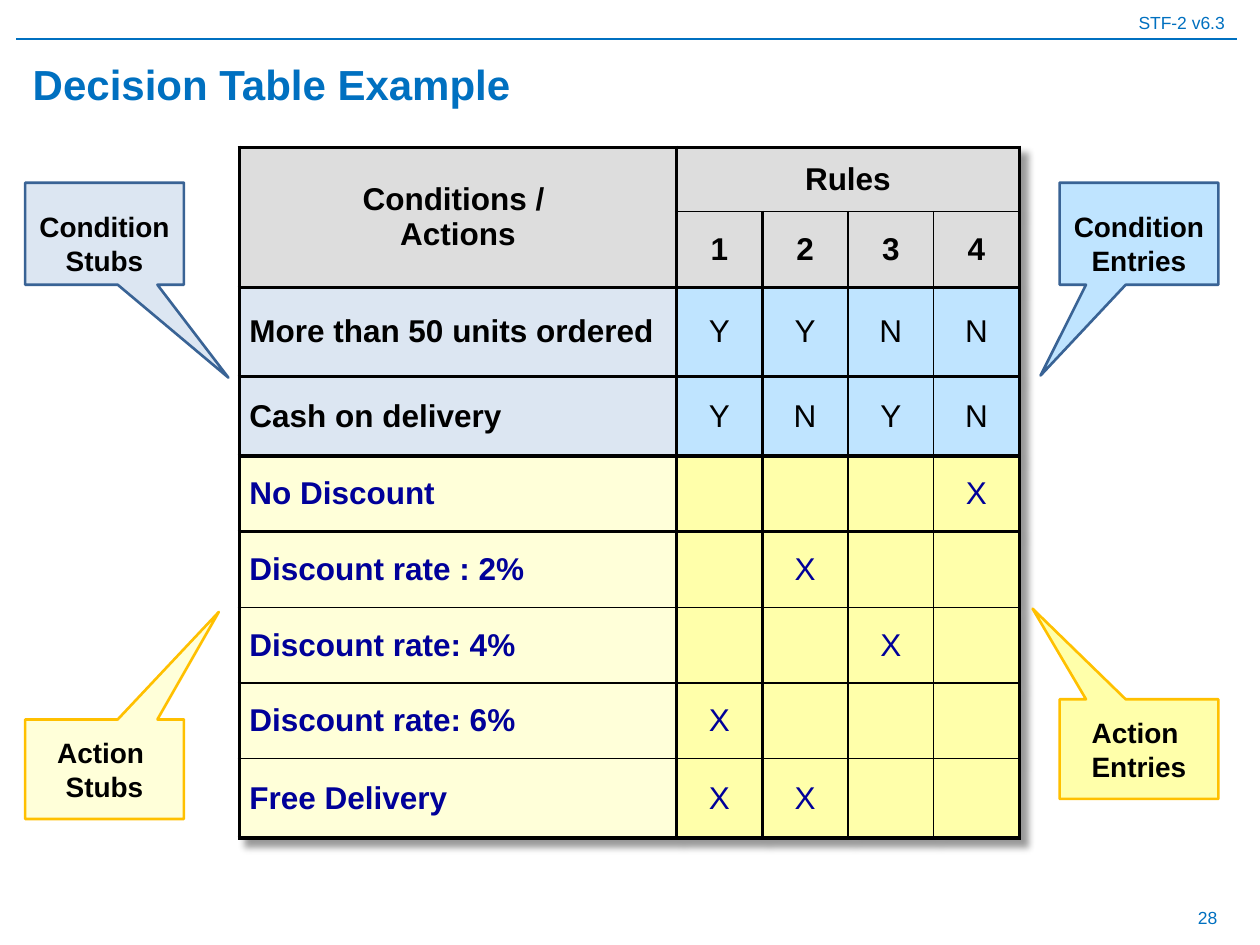
from dataclasses import dataclass

from lxml.etree import SubElement
from pptx import Presentation
from pptx.dml.color import RGBColor as Rgb
from pptx.enum.shapes import MSO_CONNECTOR as Connector, MSO_SHAPE as Shape
from pptx.enum.text import MSO_ANCHOR as Anchor, PP_ALIGN as Align
from pptx.oxml import parse_xml
from pptx.oxml.ns import nsdecls, qn
from pptx.util import Inches, Pt


@dataclass(frozen=True)
class Theme:
    """Colours, font and type sizes of the deck."""
    font: str = "Arial"
    accent: str = "0070C0"
    ink: str = "000000"
    action_ink: str = "000099"
    header: str = "DDDDDD"
    condition_stub: str = "DCE6F2"
    condition_entry: str = "BFE4FF"
    action_stub: str = "FFFFD9"
    action_entry: str = "FFFFAA"
    condition_edge: str = "396395"
    action_edge: str = "FFC000"
    title_size: int = 24
    table_size: int = 18
    callout_size: int = 16
    small_size: int = 10
    thick: float = 2.25
    thin: float = 1


THEME = Theme()
COLUMN_WIDTHS = [3.47] + [0.68] * 4
ROW_HEIGHTS = [0.51, 0.59, 0.71, 0.63] + [0.6] * 4 + [0.63]
THICK_COLUMNS = {0, 1, 2, 5}
THICK_ROWS = {0, 2, 3, 4, 5, 9}
CONDITIONS = [("More than 50 units ordered", "YYNN"), ("Cash on delivery", "YNYN")]
ACTIONS = [
    ("No Discount", "   X"),
    ("Discount rate : 2%", " X  "),
    ("Discount rate: 4%", "  X "),
    ("Discount rate: 6%", "X   "),
    ("Free Delivery", "XX  "),
]
CALLOUTS = [
    ("Condition Entries", (8.41, 1.45, 1.26, 0.81), (-0.62, 1.39),
     THEME.condition_entry, THEME.condition_edge, 0.2),
    ("Action \nStubs", (0.2, 5.71, 1.26, 0.79), (0.72, -1.58),
     THEME.action_stub, THEME.action_edge, 0.05),
    ("Action \nEntries", (8.41, 5.55, 1.26, 0.79), (-0.67, -1.41),
     THEME.action_entry, THEME.action_edge, 0.05),
    ("Condition Stubs", (0.2, 1.45, 1.26, 0.81), (0.78, 1.41),
     THEME.condition_stub, THEME.condition_edge, 0.05 + 0.15),
]


def inches(box):
    """Turn a box of numbers into lengths."""
    return [Inches(length) for length in box]


def write(frame, text, size, color, bold=False, align=Align.LEFT):
    """Fill a text frame with evenly formatted paragraphs."""
    frame.text = text
    frame.word_wrap = True
    for para in frame.paragraphs:
        para.alignment = align
        para.font.name = THEME.font
        para.font.size = Pt(size)
        para.font.bold = bold
        para.font.color.rgb = Rgb.from_string(color)


def add_small_text(page, text, box, right_inset):
    """Add a small right-aligned line in the accent colour."""
    frame = page.shapes.add_textbox(*inches(box)).text_frame
    frame.vertical_anchor = Anchor.MIDDLE
    frame.margin_right = Inches(right_inset)
    write(frame, text, THEME.small_size, THEME.accent, align=Align.RIGHT)


def add_rule(page, left, right, top):
    """Draw the thin line below the page header."""
    rule = page.shapes.add_connector(
        Connector.STRAIGHT, *inches((left, top, right, top)))
    rule.line.color.rgb = Rgb.from_string(THEME.accent)
    rule.line.width = Pt(0.75)
    SubElement(rule._element.spPr, qn("a:effectLst"))


def place_title(page, text, box):
    """Move and format the title placeholder."""
    title = page.shapes.title
    title.left, title.top, title.width, title.height = inches(box)
    title.text_frame.vertical_anchor = Anchor.MIDDLE
    write(title.text_frame, text, THEME.title_size, THEME.accent, bold=True)


def set_borders(cell, row, column):
    """Give a cell the line widths of the grid edges around it."""
    right, bottom = column + cell.span_width, row + cell.span_height
    edges = {
        "L": column in THICK_COLUMNS,
        "R": right in THICK_COLUMNS,
        "T": row in THICK_ROWS,
        "B": bottom in THICK_ROWS,
    }
    properties = cell._tc.get_or_add_tcPr()
    for index, (side, heavy) in enumerate(edges.items()):
        width = Pt(THEME.thick if heavy else THEME.thin)
        properties.insert(index, parse_xml(
            f'<a:ln{side} {nsdecls("a")} w="{width}"><a:solidFill>'
            f'<a:srgbClr val="{THEME.ink}"/></a:solidFill></a:ln{side}>'))


def set_cell(table, row, column, text, fill, ink=THEME.ink, bold=True, stub=False):
    """Write, fill and frame one cell."""
    cell = table.cell(row, column)
    cell.margin_left = Inches(0.08 if stub else 0)
    cell.margin_top = cell.margin_right = cell.margin_bottom = 0
    cell.vertical_anchor = Anchor.MIDDLE
    cell.fill.solid()
    cell.fill.fore_color.rgb = Rgb.from_string(fill)
    write(cell.text_frame, text, THEME.table_size, ink, bold,
          Align.LEFT if stub else Align.CENTER)
    set_borders(cell, row, column)


def add_table_shadow(table):
    """Cast a soft shadow to the lower right of the table."""
    table._tbl.tblPr.insert(0, parse_xml(
        f'<a:effectLst {nsdecls("a")}><a:outerShdw blurRad="{Inches(0.05)}" '
        f'dist="{Inches(0.08)}" dir="2700000" algn="tl" rotWithShape="0">'
        f'<a:srgbClr val="{THEME.ink}"><a:alpha val="40000"/></a:srgbClr>'
        '</a:outerShdw></a:effectLst>'))


def add_decision_table(page, box):
    """Build the table of conditions, actions and rules."""
    table = page.shapes.add_table(
        len(ROW_HEIGHTS), len(COLUMN_WIDTHS), *inches(box)).table
    table.first_row = table.horz_banding = False
    add_table_shadow(table)
    for column, width in zip(table.columns, COLUMN_WIDTHS):
        column.width = Inches(width)
    for row, height in zip(table.rows, ROW_HEIGHTS):
        row.height = Inches(height)

    table.cell(0, 0).merge(table.cell(1, 0))
    table.cell(0, 1).merge(table.cell(0, 4))
    set_cell(table, 0, 0, "Conditions / \nActions", THEME.header)
    set_cell(table, 0, 1, "Rules", THEME.header)
    for rule in range(1, 5):
        set_cell(table, 1, rule, str(rule), THEME.header)

    groups = [
        (2, CONDITIONS, THEME.condition_stub, THEME.condition_entry, THEME.ink),
        (4, ACTIONS, THEME.action_stub, THEME.action_entry, THEME.action_ink),
    ]
    for start, lines, stub_fill, entry_fill, ink in groups:
        for row, (stub, entries) in enumerate(lines, start):
            set_cell(table, row, 0, stub, stub_fill, ink, stub=True)
            for column, entry in enumerate(entries, 1):
                set_cell(table, row, column, entry.strip(), entry_fill, ink, bold=False)


def add_callout(page, text, box, tip, fill, edge, top_inset):
    """Add a callout whose tip points at a part of the table."""
    callout = page.shapes.add_shape(Shape.RECTANGULAR_CALLOUT, *inches(box))
    callout.adjustments[0], callout.adjustments[1] = tip
    callout.shadow.inherit = False
    callout.fill.solid()
    callout.fill.fore_color.rgb = Rgb.from_string(fill)
    callout.line.color.rgb = Rgb.from_string(edge)
    callout.line.width = Pt(1.5)
    callout.text_frame.vertical_anchor = Anchor.MIDDLE
    callout.text_frame.margin_top = Inches(top_inset)
    write(callout.text_frame, text, THEME.callout_size, THEME.ink, True, Align.CENTER)


def main():
    """Build and save the deck."""
    deck = Presentation()
    deck.slide_width, deck.slide_height = Inches(10), Inches(7.5)
    page = deck.slides.add_slide(deck.slide_layouts[5])
    add_small_text(page, "STF-2 v6.3", (0, 0.04, 10, 0.27), 0.28)
    add_rule(page, 0.13, 9.82, 0.31)
    add_small_text(page, "28", (7.43, 7.09, 2.33, 0.39), 0.1)
    place_title(page, "Decision Table Example", (0.16, 0.39, 9.61, 0.55))
    add_decision_table(page, (1.9, 1.17, 6.21, 5.45))
    for callout in CALLOUTS:
        add_callout(page, *callout)
    deck.save("out.pptx")


if __name__ == "__main__":
    main()
